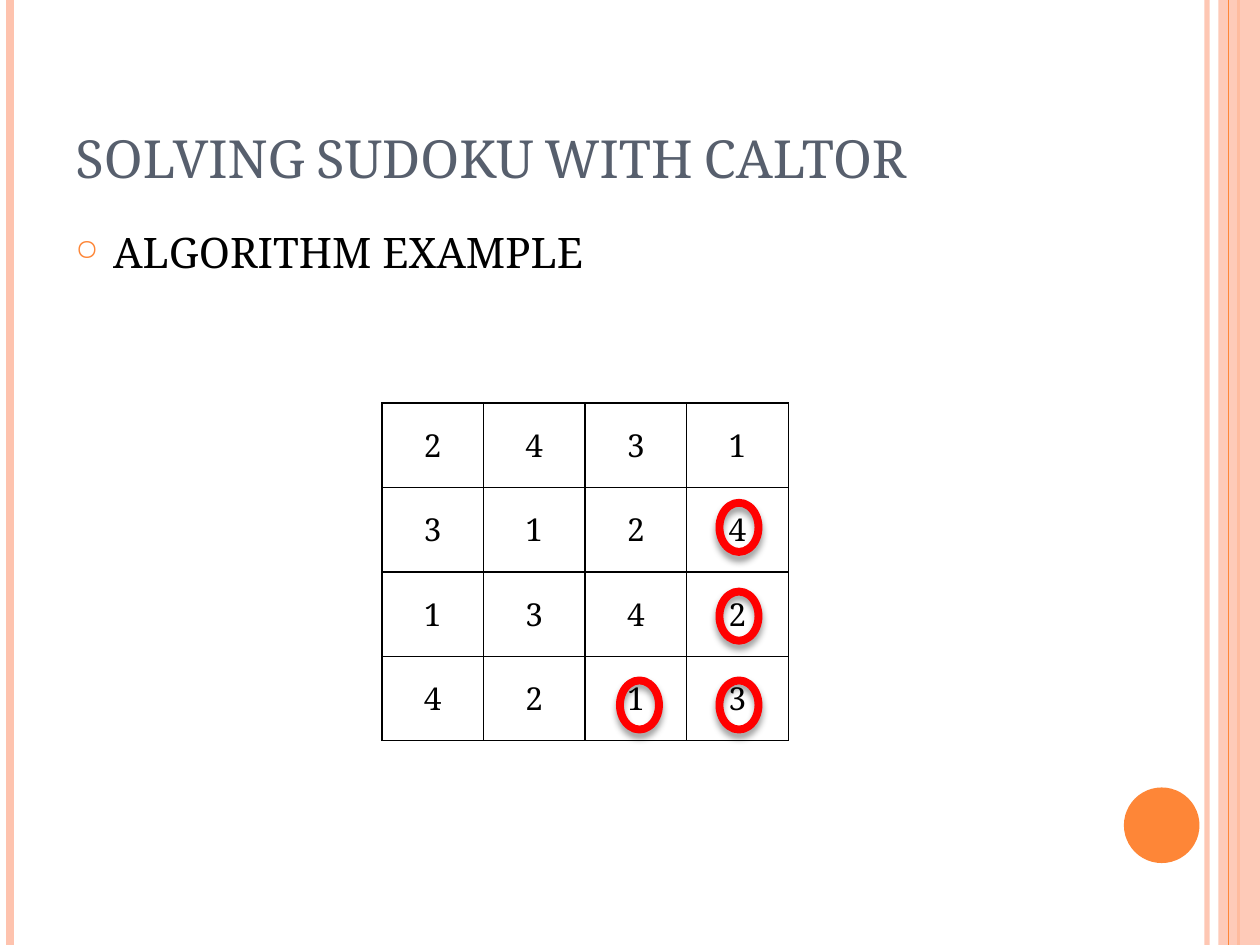
import dataclasses

import lxml.etree
import pptx
import pptx.dml.color
import pptx.enum.shapes
import pptx.enum.text
import pptx.oxml
import pptx.oxml.ns
import pptx.util

NS = pptx.oxml.ns.nsdecls("a")
SHAPE = pptx.enum.shapes.MSO_SHAPE
ANCHOR = pptx.enum.text.MSO_ANCHOR
ALIGN = pptx.enum.text.PP_ALIGN


@dataclasses.dataclass(frozen=True)
class Theme:
    """Colours, font and type sizes of the slide."""
    font: str = "Noto Serif"
    ink: str = "000000"
    slate: str = "575F6D"
    peach: str = "FEC3AE"
    orange: str = "FE8637"
    red: str = "FF0000"
    head: int = 30
    body: int = 24
    digit: int = 18


THEME = Theme()
COLS, ROWS = 100, 75
WIDE, HIGH = pptx.util.Inches(10), pptx.util.Inches(7.5)
LEFT, TOP = 30.3, 32
CELL_W, CELL_H = 8.07, 6.7
GRID = ["2431", "3124", "1342", "4213"]
RINGS = [(2, 3), (3, 2), (3, 3), (3, 1)]


def place(x, y, w, h):
    """Turn grid columns and rows into slide lengths."""
    return [round(n * size / count) for n, size, count in
            zip((x, y, w, h), (WIDE, HIGH) * 2, (COLS, ROWS) * 2)]


def tint(code):
    """Return the colour for a hex code."""
    return pptx.dml.color.RGBColor.from_string(code)


def fade(node, share):
    """Give the first colour inside a node an opacity in percent."""
    color = next(node.iter(pptx.oxml.ns.qn("a:srgbClr")))
    color.append(pptx.oxml.parse_xml(f'<a:alpha {NS} val="{share * 1000}"/>'))


def style(para, size, color):
    """Format all runs of a paragraph."""
    for run in para.runs:
        run.font.name = THEME.font
        run.font.size = pptx.util.Pt(size)
        run.font.color.rgb = tint(color)


def add_rule(slide, x, color, width, share=100):
    """Draw a rule down the full height of the slide."""
    left, top, _, high = place(x, 0, 0, ROWS)
    rule = slide.shapes.add_connector(
        pptx.enum.shapes.MSO_CONNECTOR.STRAIGHT, left, top, left, top + high)
    rule.line.color.rgb = tint(color)
    rule.line.width = pptx.util.Pt(width)
    if share < 100:
        fade(rule._element.spPr, share)
    lxml.etree.SubElement(rule._element.spPr, pptx.oxml.ns.qn("a:effectLst"))


def add_solid(slide, kind, box, color, share=100):
    """Draw a filled shape without an outline."""
    shape = slide.shapes.add_shape(kind, *place(*box))
    shape.shadow.inherit = False
    shape.fill.solid()
    shape.fill.fore_color.rgb = tint(color)
    shape.line.fill.background()
    if share < 100:
        fade(shape._element.spPr, share)


def add_text(slide, box, text, size, color, anchor):
    """Add a line of text and return its paragraph."""
    frame = slide.shapes.add_textbox(*place(*box)).text_frame
    frame.word_wrap = True
    frame.vertical_anchor = anchor
    frame.text = text
    para = frame.paragraphs[0]
    style(para, size, color)
    return para


def add_bullet(para):
    """Give a paragraph a hanging round bullet."""
    para.space_before = pptx.util.Pt(6)
    props = para._p.get_or_add_pPr()
    indent = pptx.util.Inches(0.3)
    props.set("marL", str(indent))
    props.set("indent", str(-indent))
    for part in (f'<a:buClr {NS}><a:srgbClr val="{THEME.orange}"/></a:buClr>',
                 f'<a:buSzPct {NS} val="70000"/>',
                 f'<a:buChar {NS} char="○"/>'):
        props.append(pptx.oxml.parse_xml(part))


def fill_cell(cell, text):
    """Set the digit, borders and empty fill of a table cell."""
    cell.text_frame.text = text
    cell.vertical_anchor = ANCHOR.MIDDLE
    cell.fill.background()
    para = cell.text_frame.paragraphs[0]
    para.alignment = ALIGN.CENTER
    style(para, THEME.digit, THEME.ink)
    props = cell._tc.get_or_add_tcPr()
    props.set("vert", "wordArtVert")
    for at, side in enumerate("LRTB"):
        props.insert(at, pptx.oxml.parse_xml(
            f'<a:ln{side} {NS} w="12700"><a:solidFill>'
            f'<a:srgbClr val="{THEME.ink}"/></a:solidFill></a:ln{side}>'))


def add_grid(slide):
    """Add the table of digits."""
    count = len(GRID)
    box = place(LEFT, TOP, count * CELL_W, count * CELL_H)
    table = slide.shapes.add_table(count, count, *box).table
    table.first_row = table.horz_banding = False
    for r, digits in enumerate(GRID):
        for c, digit in enumerate(digits):
            fill_cell(table.cell(r, c), digit)


def add_ring(slide, col, row):
    """Circle the digit at a column and row of the table."""
    box = place(33.4 + 7.9 * col, 32.85 + 7.05 * row, 3.1, 3.9)
    ring = slide.shapes.add_shape(SHAPE.OVAL, *box)
    ring.fill.background()
    ring.line.color.rgb = tint(THEME.red)
    ring.line.width = pptx.util.Pt(4.5)
    ring._element.spPr.append(pptx.oxml.parse_xml(
        f'<a:effectLst {NS}><a:outerShdw blurRad="50800" dist="38100" '
        f'dir="5400000" rotWithShape="0"><a:srgbClr val="{THEME.ink}">'
        '<a:alpha val="40000"/></a:srgbClr></a:outerShdw></a:effectLst>'))


def add_frame(slide):
    """Draw the rules, band and dot at the slide's edges."""
    add_rule(slide, 95.8, THEME.peach, 3, 93)
    add_rule(slide, 0.8, THEME.peach, 4.5)
    add_rule(slide, 98.3, THEME.orange, 1.5)
    add_solid(slide, SHAPE.RECTANGLE, (96.7, 0, 3.3, ROWS), THEME.peach, 87)
    add_rule(slide, 97.5, THEME.orange, 0.75)
    add_solid(slide, SHAPE.OVAL, (89.2, 62.5, 6, 6), THEME.orange)


def main():
    """Build and save the slide."""
    deck = pptx.Presentation()
    deck.slide_width, deck.slide_height = WIDE, HIGH
    slide = deck.slides.add_slide(deck.slide_layouts[6])
    add_frame(slide)
    title = add_text(slide, (5, 3, 81.7, 12.5), "SOLVING SUDOKU WITH CALTOR",
                     THEME.head, THEME.slate, ANCHOR.BOTTOM)
    title.runs[0].font._element.set("cap", "small")
    add_bullet(add_text(slide, (5, 17.5, 81.7, 53.3), "ALGORITHM EXAMPLE",
                        THEME.body, THEME.ink, ANCHOR.TOP))
    add_grid(slide)
    for col, row in RINGS:
        add_ring(slide, col, row)
    deck.save("out.pptx")


if __name__ == "__main__":
    main()
